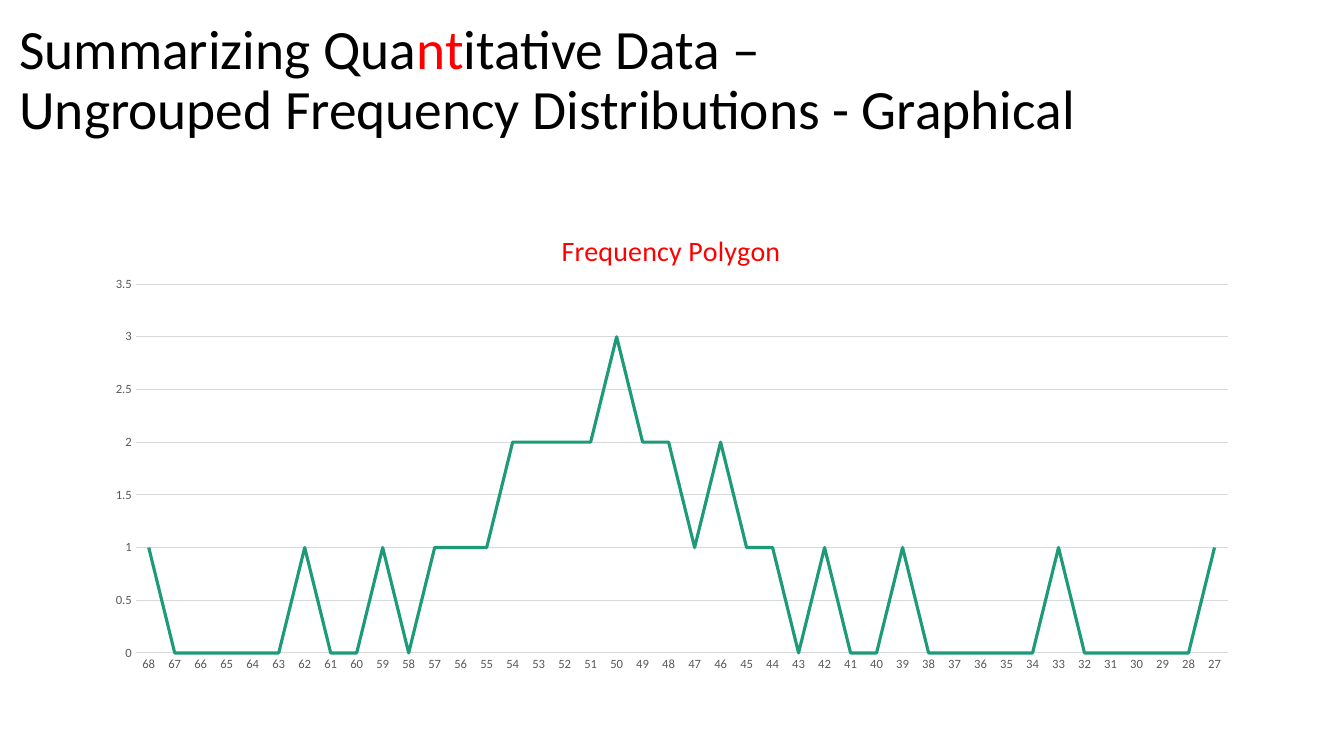
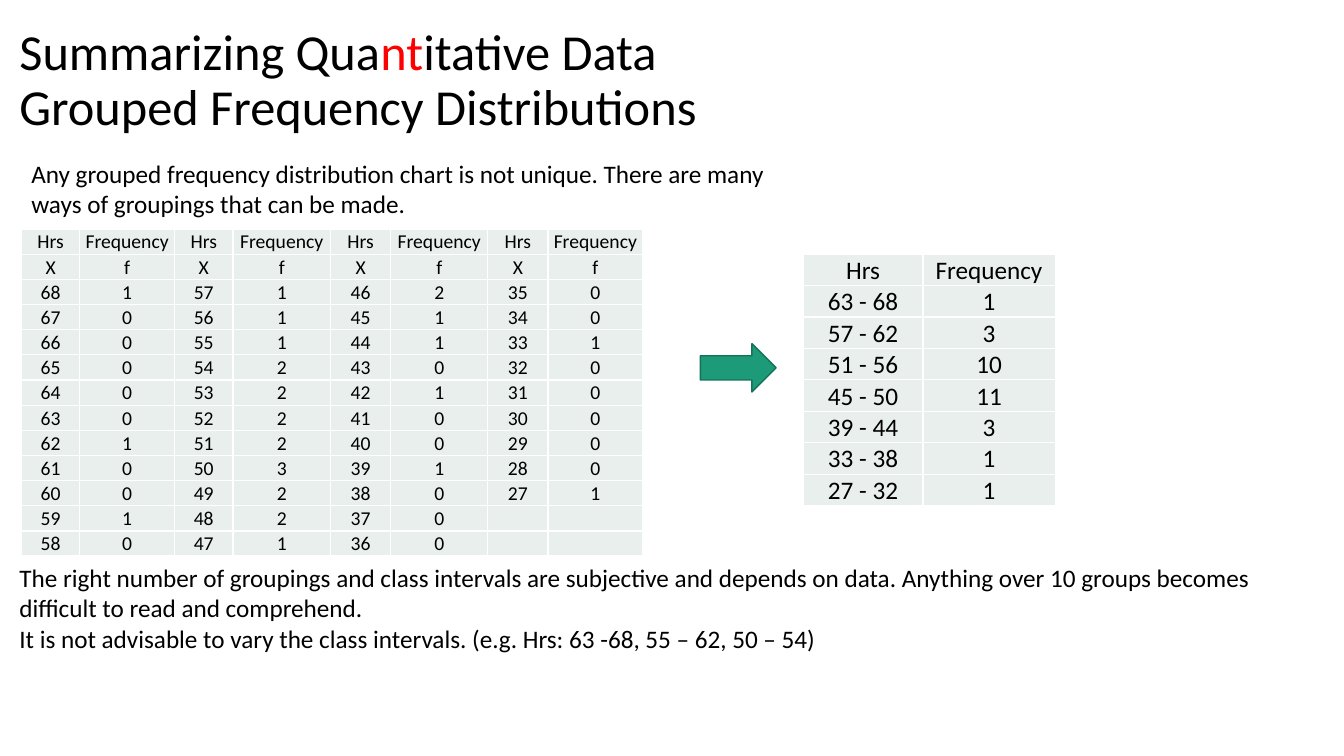
import lxml.etree
import pptx
import pptx.chart.data
import pptx.dml.color
import pptx.enum.chart
import pptx.enum.shapes
import pptx.enum.text
import pptx.oxml.ns
import pptx.util
from pptx.util import Cm

FONT = "Calibri"
BLACK, RED, GREEN, DARK_GREEN = "000000", "FF0000", "1D9A78", "157259"
CELL_FILL, AXIS_GREY, GRID_GREY = "E8EFEC", "595959", "D9D9D9"

# Each title is a list of lines, each line a list of (text, colour) pieces.
TITLE_START = [("Summarizing Qua", BLACK), ("nt", RED)]
POLYGON_TITLE = [
    TITLE_START + [("itative Data –", BLACK)],
    [("Ungrouped Frequency Distributions - Graphical", BLACK)],
]
GROUPED_TITLE = [
    TITLE_START + [("itative Data", BLACK)],
    [("Grouped Frequency Distributions", BLACK)],
]
INTRODUCTION = [
    "Any grouped frequency distribution chart is not unique. "
    "There are many ways of groupings that can be made."
]
CONCLUSIONS = [
    "The right number of groupings and class intervals are subjective and depends on data. "
    "Anything over 10 groups becomes difficult to read and comprehend.",
    "It is not advisable to vary the class intervals. (e.g. Hrs: 63 -68, 55 – 62, 50 – 54)",
]

HOURS = list(range(68, 26, -1))
FREQUENCIES = [
    1, 0, 0, 0, 0, 0, 1, 0, 0, 1, 0, 1, 1, 1, 2, 2, 2, 2, 3, 2, 2,
    1, 2, 1, 1, 0, 1, 0, 0, 1, 0, 0, 0, 0, 0, 1, 0, 0, 0, 0, 0, 1,
]
HEADER = ["Hrs", "Frequency"]
ROWS_PER_BLOCK = 11
BLOCK_COUNT = 4
CLASS_WIDTH = 6


def ungrouped_rows():
    """Lay the hours and frequencies out in side-by-side blocks."""
    rows = [HEADER * BLOCK_COUNT, ["X", "f"] * BLOCK_COUNT]
    for row in range(ROWS_PER_BLOCK):
        cells = []
        for block in range(BLOCK_COUNT):
            index = block * ROWS_PER_BLOCK + row
            present = index < len(HOURS)
            cells += [HOURS[index], FREQUENCIES[index]] if present else ["", ""]
        rows.append(cells)
    return rows


def grouped_rows():
    """Add the frequencies up in classes of equal width."""
    rows = [HEADER]
    for start in range(0, len(HOURS), CLASS_WIDTH):
        end = start + CLASS_WIDTH
        rows.append([f"{HOURS[end - 1]} - {HOURS[start]}", sum(FREQUENCIES[start:end])])
    return rows


def rgb(hex_colour):
    return pptx.dml.color.RGBColor.from_string(hex_colour)


def format_font(font, size, colour=BLACK):
    font.name = FONT
    font.size = pptx.util.Pt(size)
    font.bold = False
    font.color.rgb = rgb(colour)


def add_run(paragraph, text, **font_format):
    run = paragraph.add_run()
    run.text = text
    format_font(run.font, **font_format)


def add_text_frame(slide, left, top, width, height):
    text_frame = slide.shapes.add_textbox(Cm(left), Cm(top), Cm(width), Cm(height)).text_frame
    text_frame.word_wrap = True
    return text_frame


def add_title(slide, lines, size):
    text_frame = add_text_frame(slide, 0.24, 0.22, 29.21, 3.68)
    text_frame.vertical_anchor = pptx.enum.text.MSO_ANCHOR.MIDDLE
    paragraph = text_frame.paragraphs[0]
    paragraph.line_spacing = 0.9
    for number, line in enumerate(lines):
        if number:
            paragraph.add_line_break()
        for text, colour in line:
            add_run(paragraph, text, size=size, colour=colour)


def add_body(slide, texts, left, top, width, height):
    text_frame = add_text_frame(slide, left, top, width, height)
    for number, text in enumerate(texts):
        paragraph = text_frame.add_paragraph() if number else text_frame.paragraphs[0]
        add_run(paragraph, text, size=18)


def add_table(slide, rows, left, top, height, column_widths, size):
    table = slide.shapes.add_table(
        len(rows), len(column_widths), Cm(left), Cm(top), Cm(sum(column_widths)), Cm(height)
    ).table
    table.first_row = False
    table.horz_banding = False
    for column, width in zip(table.columns, column_widths):
        column.width = Cm(width)
    for row_number, row in enumerate(rows):
        for column_number, value in enumerate(row):
            fill_cell(table.cell(row_number, column_number), str(value), size)


def fill_cell(cell, text, size):
    cell.fill.solid()
    cell.fill.fore_color.rgb = rgb(CELL_FILL)
    cell.margin_left = cell.margin_right = cell.margin_top = Cm(0.03)
    cell.margin_bottom = 0
    cell.vertical_anchor = pptx.enum.text.MSO_ANCHOR.BOTTOM
    paragraph = cell.text_frame.paragraphs[0]
    paragraph.alignment = pptx.enum.text.PP_ALIGN.CENTER
    if text:
        add_run(paragraph, text, size=size)
    else:
        # An empty cell would otherwise stretch its row to the default text size.
        end_tag = pptx.oxml.ns.qn("a:endParaRPr")
        lxml.etree.SubElement(paragraph._p, end_tag, sz=str(size * 100))


def set_layout(parent, **settings):
    """Place a chart part by hand, in fractions of the chart's size."""
    qn = pptx.oxml.ns.qn
    layout = parent.find(qn("c:layout"))
    if layout is None:
        layout = lxml.etree.Element(qn("c:layout"))
        parent.insert(1 if parent.find(qn("c:tx")) is not None else 0, layout)
    manual = lxml.etree.SubElement(layout, qn("c:manualLayout"))
    for name, value in settings.items():
        lxml.etree.SubElement(manual, qn(f"c:{name}"), val=str(value))


def add_frequency_polygon(slide):
    data = pptx.chart.data.CategoryChartData()
    data.categories = [str(hour) for hour in HOURS]
    data.add_series("Series 1", FREQUENCIES)
    chart = slide.shapes.add_chart(
        pptx.enum.chart.XL_CHART_TYPE.LINE, Cm(2.34), Cm(5.08), Cm(29.21), Cm(12.09), data
    ).chart
    format_font(chart.font, 10)
    chart.has_legend = False

    chart.has_title = True
    add_run(chart.chart_title.text_frame.paragraphs[0], "Frequency Polygon", size=20, colour=RED)
    chart.chart_title.include_in_layout = False
    set_layout(chart.chart_title._element, xMode="edge", yMode="edge", x=0.4, y=0.05)
    set_layout(
        chart._chartSpace.chart.plotArea, layoutTarget="inner", xMode="edge", yMode="edge",
        x=0.037, y=0.172, w=0.942, h=0.769,
    )

    category_axis, value_axis = chart.category_axis, chart.value_axis
    for axis in (category_axis, value_axis):
        axis.major_tick_mark = pptx.enum.chart.XL_TICK_MARK.NONE
        axis.minor_tick_mark = pptx.enum.chart.XL_TICK_MARK.NONE
        format_font(axis.tick_labels.font, 9, AXIS_GREY)
    value_axis.minimum_scale, value_axis.maximum_scale = 0, 3.5
    value_axis.major_unit = 0.5
    value_axis.has_major_gridlines = True
    value_axis.format.line.fill.background()
    for line in (category_axis.format.line, value_axis.major_gridlines.format.line):
        line.color.rgb = rgb(GRID_GREY)
        line.width = pptx.util.Pt(0.75)

    plot = chart.plots[0]
    plot.vary_by_categories = False
    series = plot.series[0]
    series.smooth = False
    series.format.line.color.rgb = rgb(GREEN)
    series.format.line.width = pptx.util.Pt(2.25)


def add_arrow(slide):
    arrow = slide.shapes.add_shape(
        pptx.enum.shapes.MSO_SHAPE.RIGHT_ARROW, Cm(17.65), Cm(8.66), Cm(1.91), Cm(1.22)
    )
    arrow.shadow.inherit = False
    arrow.fill.solid()
    arrow.fill.fore_color.rgb = rgb(GREEN)
    arrow.line.color.rgb = rgb(DARK_GREEN)
    arrow.line.width = pptx.util.Pt(1)


def main():
    presentation = pptx.Presentation()
    presentation.slide_width, presentation.slide_height = Cm(33.87), Cm(19.05)
    blank = presentation.slide_layouts[6]

    polygon_slide = presentation.slides.add_slide(blank)
    add_title(polygon_slide, POLYGON_TITLE, 39.6)
    add_frequency_polygon(polygon_slide)

    grouped_slide = presentation.slides.add_slide(blank)
    add_title(grouped_slide, GROUPED_TITLE, 36)
    add_table(
        grouped_slide, ungrouped_rows(), 0.54, 5.77, 8.25,
        [1.47, 2.39, 1.47, 2.46, 1.52, 2.44, 1.52, 2.39], 14,
    )
    add_arrow(grouped_slide)
    add_table(grouped_slide, grouped_rows(), 20.24, 6.4, 6.35, [3.02, 3.33], 18)
    add_body(grouped_slide, INTRODUCTION, 0.54, 3.86, 20.02, 1.8)
    add_body(grouped_slide, CONCLUSIONS, 0.24, 14.05, 32.03, 2.57)

    presentation.save("out.pptx")


if __name__ == "__main__":
    main()
